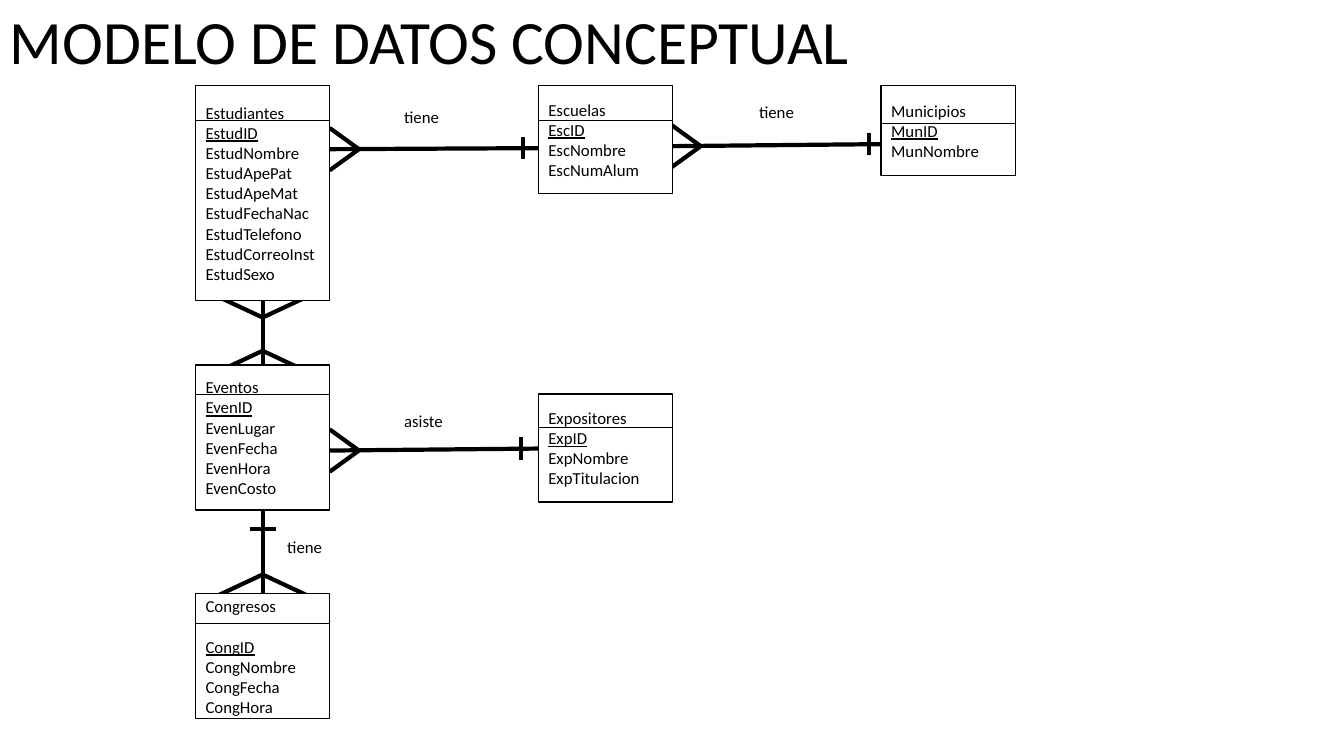
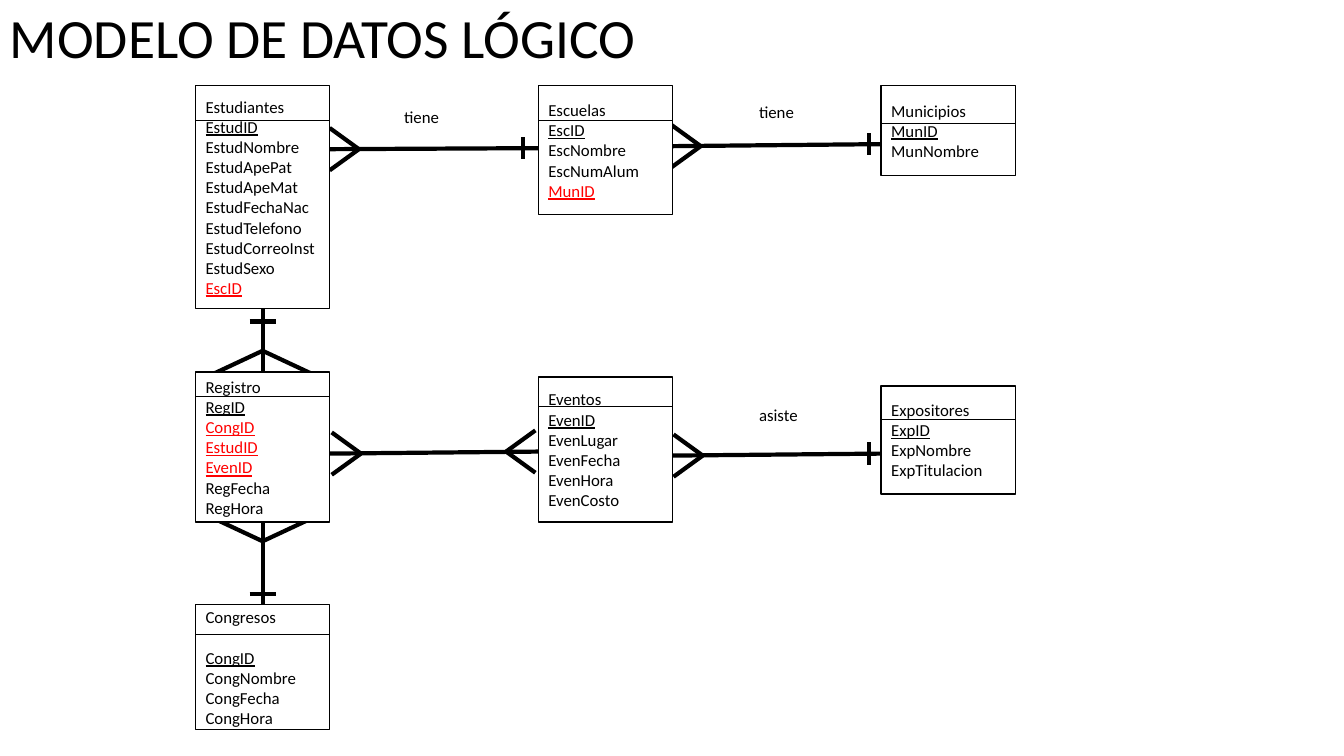
from dataclasses import dataclass

from lxml.etree import SubElement
from pptx import Presentation
from pptx.dml.color import RGBColor
from pptx.enum.shapes import MSO_CONNECTOR as Connector, MSO_SHAPE as Preset
from pptx.enum.text import MSO_ANCHOR as Anchor, PP_ALIGN as Align
from pptx.oxml.ns import qn
from pptx.util import Inches, Pt

BLACK, WHITE, RED = "000000", "FFFFFF", "FF0000"
FONT = "Calibri"
FIRST_COLUMN, COLUMN_PITCH, BOX_WIDTH = 1.94, 3.4, 1.33
TOP_ROW = 0.85
BLANK_LINE = 14.65

ENTITIES = {
    "Estudiantes": (0.34, ["EstudID", "EstudNombre", "EstudApePat", "EstudApeMat",
                           "EstudFechaNac", "EstudTelefono", "EstudCorreoInst", "EstudSexo"]),
    "Escuelas": (0.34, ["EscID", "EscNombre", "EscNumAlum"]),
    "Municipios": (0.37, ["MunID", "MunNombre"]),
    "Eventos": (0.29, ["EvenID", "EvenLugar", "EvenFecha", "EvenHora", "EvenCosto"]),
    "Expositores": (0.33, ["ExpID", "ExpNombre", "ExpTitulacion"]),
    "Congresos": (0.29, ["CongID", "CongNombre", "CongFecha", "CongHora"]),
    "Registro": (0.24, ["RegID", "CongID", "EstudID", "EvenID", "RegFecha", "RegHora"]),
}


@dataclass
class Box:
    column: int
    top: float
    height: float

    @property
    def left(self):
        return FIRST_COLUMN + self.column * COLUMN_PITCH

    @property
    def right(self):
        return self.left + BOX_WIDTH

    @property
    def bottom(self):
        return self.top + self.height

    @property
    def center(self):
        return self.left + BOX_WIDTH / 2


def color(value):
    return RGBColor.from_string(value)


def write(frame, text, size=12, ink=BLACK, underline=False, spacing=None, after=0):
    paragraph = frame.paragraphs[0]
    if paragraph.runs:
        paragraph = frame.add_paragraph()
    paragraph.alignment = Align.LEFT
    paragraph.space_after = Pt(after)
    if spacing:
        paragraph.line_spacing = spacing
    run = paragraph.add_run()
    run.text = text
    run.font.name = FONT
    run.font.size = Pt(size)
    run.font.underline = underline
    run.font.color.rgb = color(ink)


def add_text(slide, left, top, width, height, text, wrap=False, anchor=Anchor.TOP, **style):
    shape = slide.shapes.add_textbox(*map(Inches, (left, top, width, height)))
    shape.text_frame.word_wrap = wrap
    shape.text_frame.vertical_anchor = anchor
    write(shape.text_frame, text, **style)


def add_line(slide, start, end, width=3):
    connector = slide.shapes.add_connector(Connector.STRAIGHT, *map(Inches, (*start, *end)))
    connector.line.color.rgb = color(BLACK)
    connector.line.width = Pt(width)
    SubElement(connector._element.spPr, qn("a:effectLst"))


def add_entity(slide, name, box, foreign=(), extra=()):
    divider, attributes = ENTITIES[name]
    shape = slide.shapes.add_shape(
        Preset.RECTANGLE, *map(Inches, (box.left, box.top, BOX_WIDTH, box.height)))
    shape.shadow.inherit = False
    shape.fill.solid()
    shape.fill.fore_color.rgb = color(WHITE)
    shape.line.color.rgb = color(BLACK)
    shape.line.width = Pt(1)
    frame = shape.text_frame
    frame.word_wrap = True
    frame.vertical_anchor = Anchor.MIDDLE
    write(frame, name, after=BLANK_LINE if name == "Congresos" else 0)
    for index, attribute in enumerate([*attributes, *extra]):
        is_foreign = attribute in foreign or attribute in extra
        write(frame, attribute, ink=RED if is_foreign else BLACK,
              underline=is_foreign or index == 0)
    y = box.top + divider
    add_line(slide, (box.left, y), (box.right, y), 0.5)


def add_mark(slide, edge, direction, kind, distance, vertical):
    def point(along, across):
        x, y = edge
        return (x + across, y + along) if vertical else (x + along, y + across)

    tip = distance * direction
    if kind == "one":
        reach = 0.13 if vertical else 0.11
        add_line(slide, point(tip, -reach), point(tip, reach))
        return
    length, reach = (0.22, 0.47) if vertical else (0.29, 0.21)
    for side in (-reach, reach):
        add_line(slide, point(tip, 0), point(tip - length * direction, side))


def add_relation(slide, start, end, start_mark, end_mark, vertical=False):
    add_line(slide, start, end)
    add_mark(slide, start, 1, *start_mark, vertical)
    add_mark(slide, end, -1, *end_mark, vertical)


def relate_across(slide, left_box, right_box, heights, *marks):
    add_relation(slide, (left_box.right, heights[0]), (right_box.left, heights[1]), *marks)


def relate_down(slide, upper, lower, *marks):
    add_relation(slide, (upper.center, upper.bottom), (lower.center, lower.top),
                 *marks, vertical=True)


def add_label(slide, text, left, top):
    add_text(slide, left, top, 0.59 if text == "asiste" else 0.55, 0.3, text)


def add_title(slide, text, top, height, size):
    add_text(slide, 0, top, 11.5, height, text, wrap=True, anchor=Anchor.MIDDLE,
             size=size, spacing=0.9)


def relate_schools(slide, students, schools, towns):
    relate_across(slide, students, schools, (1.48, 1.47), ("many", 0.29), ("one", 0.15))
    relate_across(slide, schools, towns, (1.45, 1.43), ("many", 0.28), ("one", 0.12))
    add_label(slide, "tiene", 3.91, 1.01)
    add_label(slide, "tiene", 7.43, 0.96)


def build_conceptual(slide):
    add_title(slide, "MODELO DE DATOS CONCEPTUAL", 0, 0.89, 44)
    students, schools, towns = Box(0, TOP_ROW, 2.13), Box(1, TOP_ROW, 1.07), Box(2, TOP_ROW, 0.89)
    events, speakers, congresses = Box(0, 3.62, 1.44), Box(1, 3.91, 1.07), Box(0, 5.89, 1.24)
    relate_schools(slide, students, schools, towns)
    relate_down(slide, students, events, ("many", 0.17), ("many", 0.14))
    relate_across(slide, events, speakers, (4.47, 4.45), ("many", 0.29), ("one", 0.17))
    relate_down(slide, events, congresses, ("one", 0.19), ("many", 0.19))
    add_entity(slide, "Estudiantes", students)
    add_entity(slide, "Escuelas", schools)
    add_entity(slide, "Municipios", towns)
    add_entity(slide, "Eventos", events)
    add_entity(slide, "Expositores", speakers)
    add_entity(slide, "Congresos", congresses)
    add_label(slide, "tiene", 2.75, 5.28)
    add_label(slide, "asiste", 3.91, 4.03)


def build_logical(slide):
    add_title(slide, "MODELO DE DATOS LÓGICO", 0.06, 0.69, 39.6)
    students, schools, towns = Box(0, TOP_ROW, 2.21), Box(1, TOP_ROW, 1.28), Box(2, TOP_ROW, 0.89)
    records, events, speakers = Box(0, 3.69, 1.49), Box(1, 3.74, 1.44), Box(2, 3.83, 1.07)
    congresses = Box(0, 6, 1.24)
    relate_schools(slide, students, schools, towns)
    relate_down(slide, students, records, ("one", 0.13), ("many", 0.21))
    relate_down(slide, records, congresses, ("many", 0.19), ("one", 0.11))
    relate_across(slide, records, events, (4.5, 4.48), ("many", 0.31), ("many", 0.32))
    relate_across(slide, events, speakers, (4.52, 4.5), ("many", 0.3), ("one", 0.12))
    add_entity(slide, "Estudiantes", students, extra=["EscID"])
    add_entity(slide, "Escuelas", schools, extra=["MunID"])
    add_entity(slide, "Municipios", towns)
    add_entity(slide, "Registro", records, foreign=["CongID", "EstudID", "EvenID"])
    add_entity(slide, "Eventos", events)
    add_entity(slide, "Expositores", speakers)
    add_entity(slide, "Congresos", congresses)
    add_label(slide, "asiste", 7.43, 3.97)


presentation = Presentation()
presentation.slide_width, presentation.slide_height = Inches(13.33), Inches(7.5)
for build in (build_conceptual, build_logical):
    build(presentation.slides.add_slide(presentation.slide_layouts[6]))
presentation.save("out.pptx")
